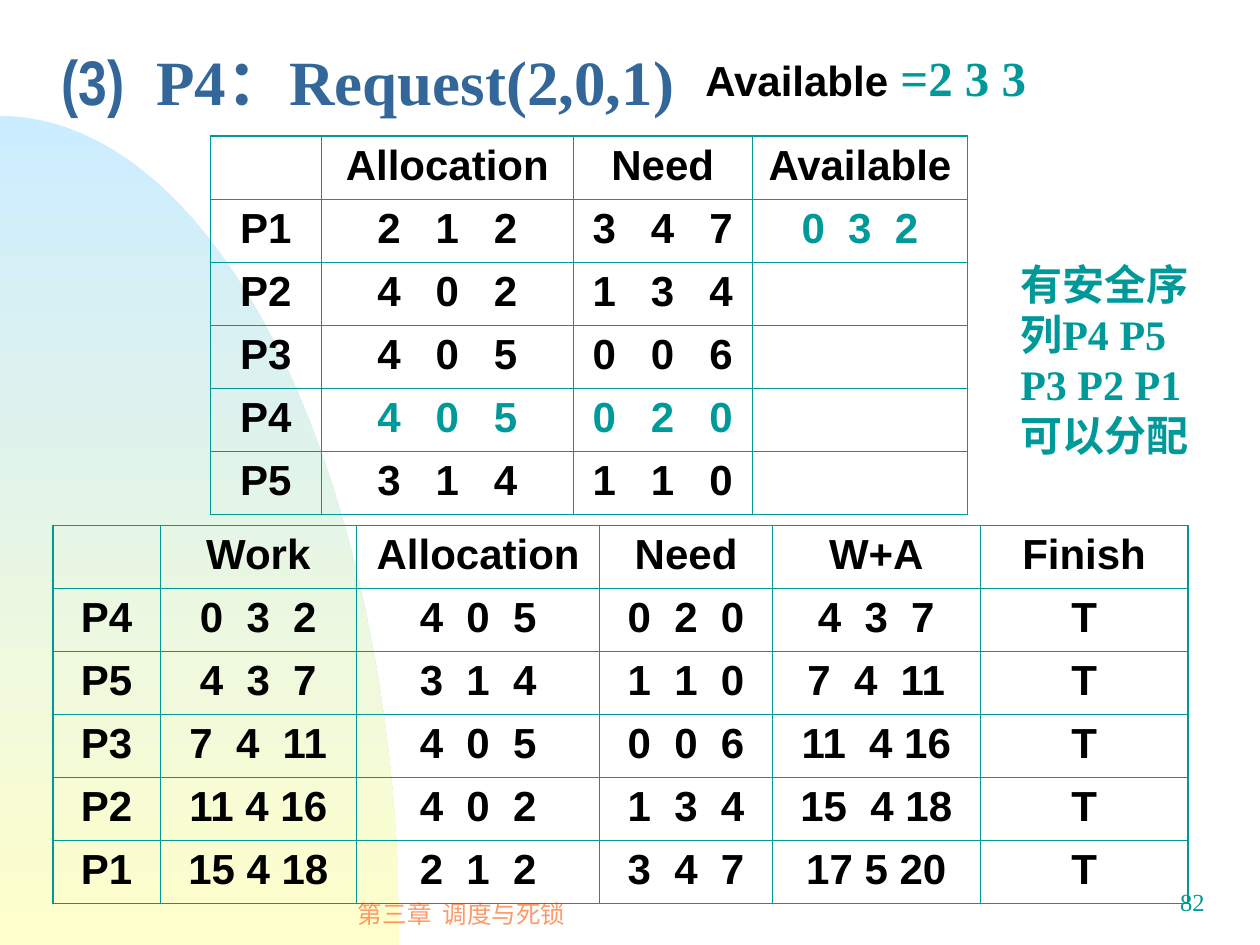
from math import cos, pi, sin

from lxml.etree import SubElement
from pptx import Presentation
from pptx.dml.color import RGBColor
from pptx.enum.text import MSO_ANCHOR as Anchor, MSO_AUTO_SIZE as AutoSize, PP_ALIGN as Align
from pptx.oxml.ns import qn
from pptx.util import Inches, Pt

TEAL, BLUE, BLACK, ORANGE = "009999", "336699", "000000", "FF9966"
SANS, SERIF, NARROW, ASIAN = "Arial", "Times New Roman", "Arial Narrow", "Noto Sans CJK SC"

REQUEST_ROWS = [
    ["", "Allocation", "Need", "Available"],
    ["P1", "2   1   2", "3   4   7", "0  3  2"],
    ["P2", "4   0   2", "1   3   4", ""],
    ["P3", "4   0   5", "0   0   6", ""],
    ["P4", "4   0   5", "0   2   0", ""],
    ["P5", "3   1   4", "1   1   0", ""],
]
SAFETY_ROWS = [
    ["", "Work", "Allocation", "Need", "W+A", "Finish"],
    ["P4", "0  3  2", "4  0  5", "0  2  0", "4  3  7", "T"],
    ["P5", "4  3  7", "3  1  4", "1  1  0", "7  4  11", "T"],
    ["P3", "7  4  11", "4  0  5", "0  0  6", "11  4 16", "T"],
    ["P2", "11 4 16", "4  0  2", "1  3  4", "15  4 18", "T"],
    ["P1", "15 4 18", "2  1  2", "3  4  7", "17 5 20", "T"],
]


def rgb(value):
    """Turn a hex string into a colour."""
    return RGBColor.from_string(value)


def add_span(para, text, size=24, font=SANS, color=BLACK, bold=True):
    """Append formatted text to a paragraph."""
    span = para.add_run()
    span.text = text
    span.font.size, span.font.name, span.font.bold = Pt(size), font, bold
    span.font.color.rgb = rgb(color)
    SubElement(span._r.get_or_add_rPr(), qn("a:ea"), typeface=ASIAN)


def add_box(page, left, top, width, height, wrap=True, grow=False,
            align=Align.LEFT, anchor=Anchor.TOP):
    """Add a text box and return its first paragraph."""
    box = page.shapes.add_textbox(Inches(left), Inches(top), Inches(width), Inches(height))
    frame = box.text_frame
    frame.word_wrap, frame.vertical_anchor = wrap, anchor
    frame.auto_size = AutoSize.SHAPE_TO_FIT_TEXT if grow else AutoSize.NONE
    para = frame.paragraphs[0]
    para.alignment = align
    return para


def add_arc(page, width, top, bottom, steps=90):
    """Draw the gradient quarter ellipse at the left edge."""
    angles = [step * pi / 2 / steps for step in range(steps + 1)]
    points = [(Inches(width * sin(angle)), Inches(bottom - (bottom - top) * cos(angle)))
              for angle in angles]
    outline = page.shapes.build_freeform(*points[0])
    outline.add_line_segments(points[1:] + [(0, Inches(bottom))], close=True)
    arc = outline.convert_to_shape()
    arc.shadow.inherit = False
    arc.line.fill.background()
    arc.fill.gradient()
    arc.fill.gradient_angle = 270
    for stop, position, color in zip(arc.fill.gradient_stops, (0, 1), ("CCECFF", "FFFFCC")):
        stop.position, stop.color.rgb = position, rgb(color)


def set_borders(cell, outer_sides):
    """Draw thick outer and thin inner borders on a cell."""
    properties = cell._tc.get_or_add_tcPr()
    for side in "LRTB":
        width = Pt(1.08 if side in outer_sides else 0.45)
        line = SubElement(properties, qn(f"a:ln{side}"), w=str(width))
        fill = SubElement(line, qn("a:solidFill"))
        SubElement(fill, qn("a:srgbClr"), val=TEAL)


def add_grid(page, left, top, widths, rows, highlights=()):
    """Add a bordered table with some cells highlighted in teal."""
    last_row, last_column = len(rows) - 1, len(widths) - 1
    table = page.shapes.add_table(len(rows), len(widths), Inches(left), Inches(top),
                                  Inches(sum(widths)), Inches(0.5 * len(rows))).table
    table.first_row = table.horz_banding = False
    for column, width in zip(table.columns, widths):
        column.width = Inches(width)
    for i, row in enumerate(rows):
        for j, text in enumerate(row):
            cell = table.cell(i, j)
            edges = {"L": j == 0, "R": j == last_column, "T": i == 0, "B": i == last_row}
            set_borders(cell, [side for side, outer in edges.items() if outer])
            cell.fill.background()
            para = cell.text_frame.paragraphs[0]
            para.alignment = Align.CENTER
            if text:
                add_span(para, text, color=TEAL if (i, j) in highlights else BLACK)


def fill_title(page):
    """Place and format the title."""
    title = page.shapes.title
    title.left, title.top = Inches(0.39), Inches(0.17)
    title.width, title.height = Inches(9.44), Inches(1.08)
    frame = title.text_frame
    frame.auto_size, frame.vertical_anchor = AutoSize.NONE, Anchor.MIDDLE
    para = frame.paragraphs[0]
    para.alignment, para.line_spacing = Align.LEFT, 0.7
    for text, font in (("(3)", NARROW), ("  P4", SERIF), ("：", ASIAN), ("Request(2,0,1)", SERIF)):
        add_span(para, text, size=36, font=font, color=BLUE)


def main():
    """Build the deck and save it."""
    deck = Presentation()
    deck.slide_width, deck.slide_height = Inches(10), Inches(7.5)
    page = deck.slides.add_slide(deck.slide_layouts[5])

    add_arc(page, 3.17, 0.92, 7.5)
    footer = add_box(page, 2.08, 7, 3.17, 0.5, wrap=False, align=Align.CENTER, anchor=Anchor.MIDDLE)
    add_span(footer, "第三章  调度与死锁", size=14, color=ORANGE, bold=False)
    number = add_box(page, 7.58, 6.99, 2.08, 0.5, align=Align.RIGHT)
    add_span(number, "82", size=14, font=SERIF, color=TEAL, bold=False)
    fill_title(page)

    add_grid(page, 0.42, 4.17, [0.85, 1.56, 1.93, 1.37, 1.65, 1.65], SAFETY_ROWS)
    available = add_box(page, 5.5, 0.33, 2.76, 0.57, wrap=False, grow=True)
    add_span(available, "Available")
    add_span(available, " =2 3 3", size=28, font=SERIF, color=TEAL)
    add_grid(page, 1.67, 1.08, [0.88, 2, 1.42, 1.71], REQUEST_ROWS,
             highlights={(1, 3), (4, 1), (4, 2)})
    verdict = add_box(page, 8, 2, 1.54, 1.7, grow=True)
    add_span(verdict, "有安全序列P4 P5 P3 P2 P1 可以分配", font=SERIF, color=TEAL)

    deck.save("out.pptx")


if __name__ == "__main__":
    main()
